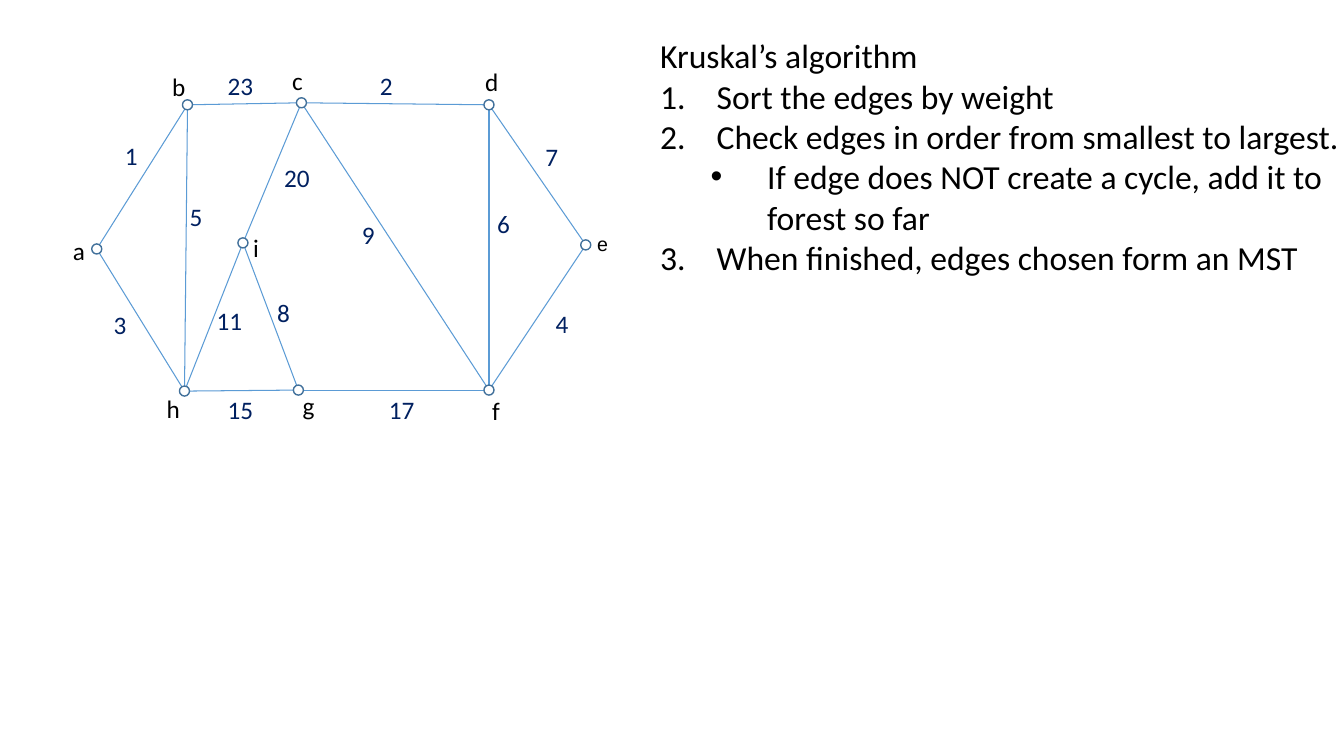
from dataclasses import dataclass
from lxml.etree import SubElement as Sub
from pptx import Presentation
from pptx.dml.color import RGBColor as Rgb
from pptx.enum.shapes import MSO_CONNECTOR as Line, MSO_SHAPE as Shape
from pptx.enum.text import MSO_ANCHOR as Anchor, PP_ALIGN as Align
from pptx.oxml.ns import qn
from pptx.util import Inches, Pt


@dataclass(frozen=True)
class Theme:
    ink: str = "000000"
    weight: str = "002060"
    edge: str = "5B9BD5"
    rim: str = "42719B"
    paper: str = "FFFFFF"
    font: str = "Calibri"
    alt: str = "Arial"
    body: int = 24
    label: int = 18
    small: int = 14


LOOK = Theme()

NODES = {
    "a": (0.36, 1.87), "b": (1.26, 0.44), "c": (2.39, 0.42),
    "d": (4.25, 0.44), "e": (5.21, 1.83), "f": (4.25, 3.27),
    "g": (2.36, 3.27), "h": (1.23, 3.28), "i": (1.81, 1.81),
}
NAMES = {
    "a": (0.04, 1.69, 0.18), "b": (1.01, 0.06, 0.25), "c": (2.2, 0, 0.23),
    "d": (4.13, 0.01, 0.18), "e": (5.24, 1.65, 0.18), "f": (4.2, 3.27, 0.18),
    "g": (2.32, 3.22, 0.18), "h": (0.97, 3.25, 0.18), "i": (1.83, 1.66, 0.18),
}
EDGES = [
    ("ab", "1", 0.54, 0.74, 0.25),
    ("cf", "9", 2.89, 1.53, 0.25),
    ("gf", "17", 3.16, 3.26, 0.54),
    ("ci", "20", 2.12, 0.96, 0.51),
    ("bc", "23", 1.56, 0.05, 0.45),
    ("bh", "5", 1.28, 1.4, 0.44),
    ("fe", "4", 4.91, 2.46, 0.42),
    ("df", "6", 4.33, 1.47, 0.42),
    ("cd", "2", 3.07, 0.05, 0.25),
    ("de", "7", 4.71, 0.75, 0.67),
    ("ig", "8", 2.05, 2.3, 0.25),
    ("hi", "11", 1.45, 2.38, 0.47),
    ("ah", "3", 0.43, 2.42, 0.54),
    ("hg", "15", 1.56, 3.26, 0.46),
]
FLUSH = {"bh", "fe", "df"}
STEPS = [
    ("Kruskal’s algorithm", None),
    ("Sort the edges by weight", 0),
    ("Check edges in order from smallest to largest.", 0),
    ("If edge does NOT create a cycle, add it to forest so far", 1),
    ("When finished, edges chosen form an MST", 0),
]


def add_run(para, text, size, color, font=LOOK.font):
    run = para.add_run()
    run.text = text
    run.font.size = Pt(size)
    run.font.name = font
    run.font.color.rgb = Rgb.from_string(color)


def fit(frame, flush=False):
    frame.word_wrap = True
    frame.vertical_anchor = Anchor.TOP
    side, top = (0, 0) if flush else (0.1, 0.05)
    frame.margin_left = frame.margin_right = Inches(side)
    frame.margin_top = Inches(top)
    frame.margin_bottom = Inches(0.05)
    para = frame.paragraphs[0]
    para.alignment = Align.LEFT
    return para


def add_form(slide, kind, *box):
    form = slide.shapes.add_shape(kind, *map(Inches, box))
    form.shadow.inherit = False
    form.fill.solid()
    form.fill.fore_color.rgb = Rgb.from_string(LOOK.paper)
    return form


def add_edge(slide, start, end):
    line = slide.shapes.add_connector(Line.STRAIGHT, *map(Inches, start + end))
    line.line.color.rgb = Rgb.from_string(LOOK.edge)
    line.line.width = Pt(0.75)
    Sub(line._element.spPr, qn("a:effectLst"))


def add_graph(slide, left, top):
    spots = {name: (left + x, top + y) for name, (x, y) in NODES.items()}
    for name, (x, y, width) in NAMES.items():
        tag = add_form(slide, Shape.RECTANGLE, left + x, top + y, width, 0.4)
        tag.line.fill.background()
        size, font = (LOOK.small, LOOK.alt) if name == "e" else (LOOK.label, LOOK.font)
        add_run(fit(tag.text_frame), name, size, LOOK.ink, font)
    for (start, end), *rest in EDGES:
        add_edge(slide, spots[start], spots[end])
    for ends, weight, x, y, width in EDGES:
        flush = ends in FLUSH
        box = left + x, top + y, width, 0.35 if flush else 0.4
        tag = slide.shapes.add_textbox(*map(Inches, box))
        add_run(fit(tag.text_frame, flush), weight, LOOK.label, LOOK.weight)
    for x, y in spots.values():
        dot = add_form(slide, Shape.OVAL, x - 0.05, y - 0.05, 0.1, 0.1)
        dot.line.color.rgb = Rgb.from_string(LOOK.rim)
        dot.line.width = Pt(1)


def add_mark(para, level):
    para.level = level
    props = para._p.get_or_add_pPr()
    props.set("marL", str(Inches(0.56 + 0.5 * level)))
    props.set("indent", str(-Inches(0.56)))
    Sub(Sub(props, qn("a:buClr")), qn("a:srgbClr"), val=LOOK.ink)
    Sub(props, qn("a:buFont"), typeface=LOOK.alt if level else LOOK.font)
    if level:
        Sub(props, qn("a:buChar"), char="•")
    else:
        Sub(props, qn("a:buAutoNum"), type="arabicPeriod")


def add_steps(slide, *box):
    frame = slide.shapes.add_textbox(*map(Inches, box)).text_frame
    para = fit(frame)
    for row, (text, level) in enumerate(STEPS):
        if row:
            para = frame.add_paragraph()
        if level is not None:
            add_mark(para, level)
        add_run(para, text, LOOK.body, LOOK.ink)


def main():
    deck = Presentation()
    deck.slide_width, deck.slide_height = Inches(13.33), Inches(7.5)
    slide = deck.slides.add_slide(deck.slide_layouts[6])
    add_steps(slide, 6.45, 0.3, 6.97, 2.52)
    add_graph(slide, 0.6, 0.6)
    deck.save("out.pptx")


if __name__ == "__main__":
    main()
